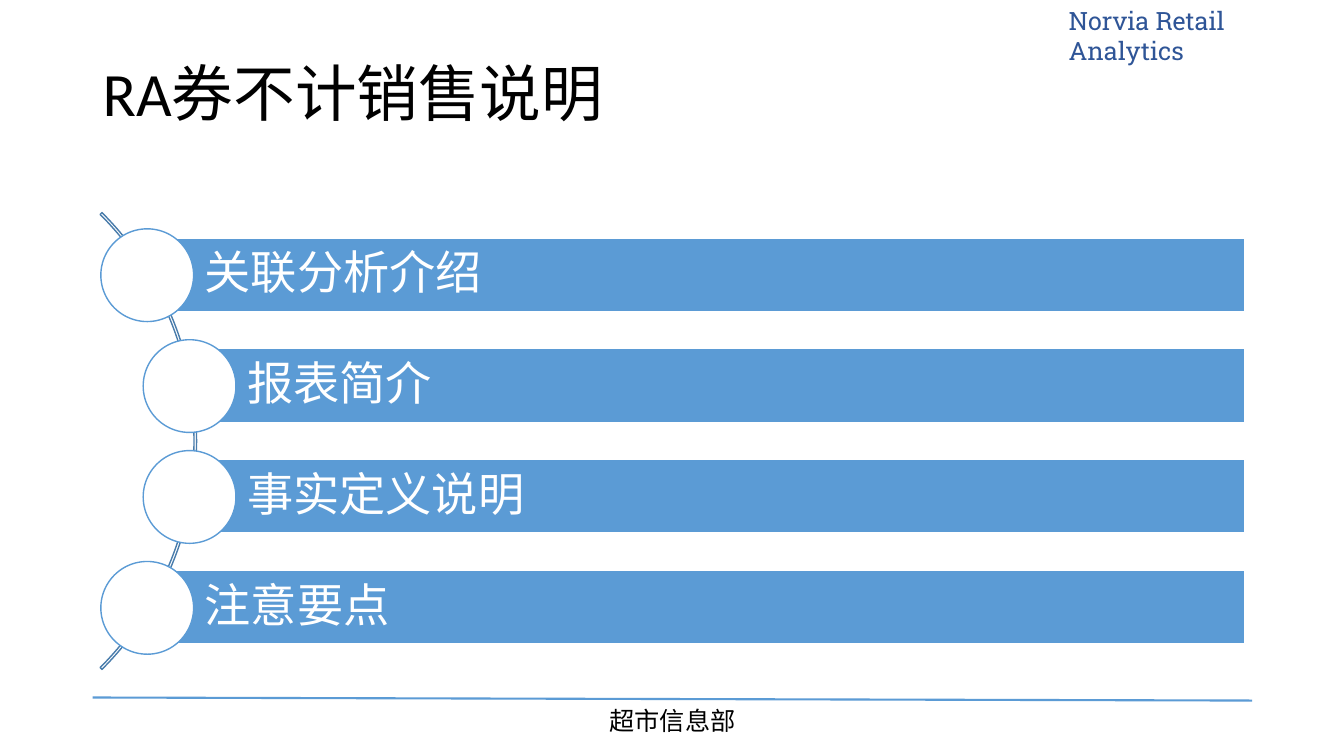
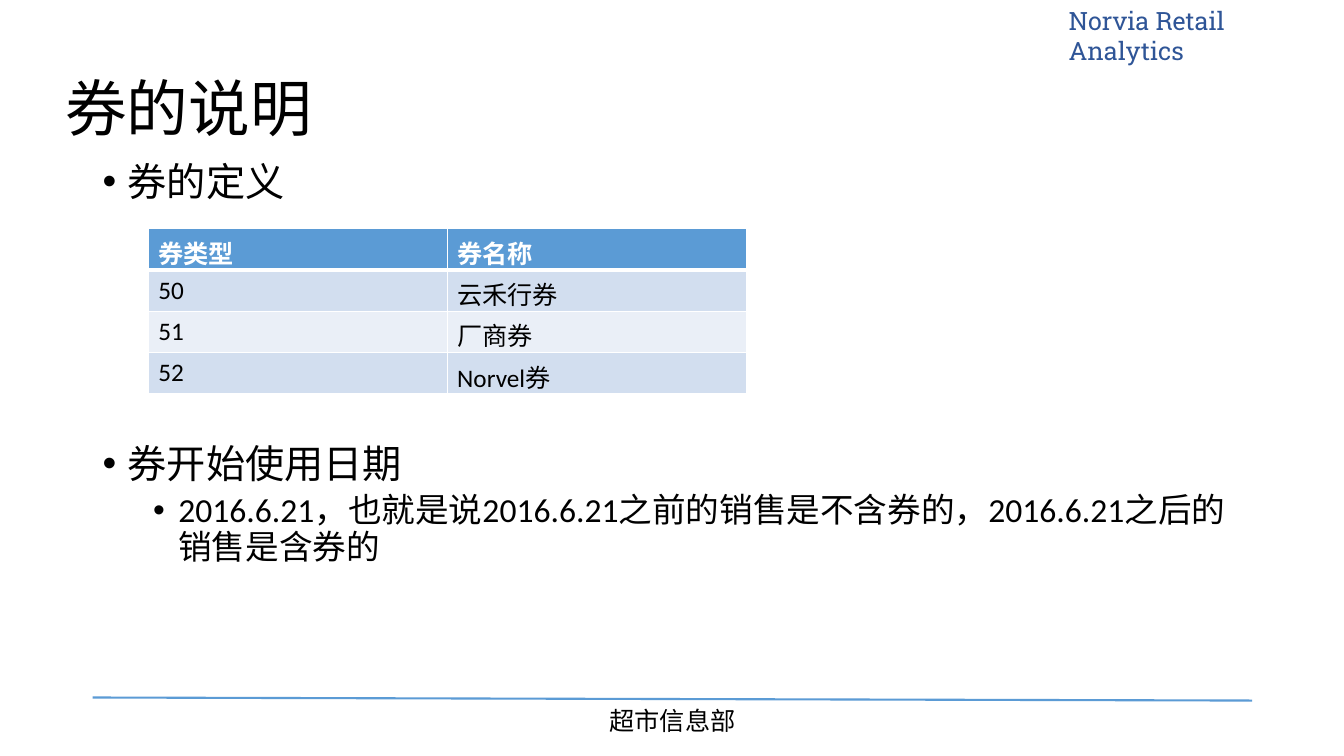
from dataclasses import dataclass

from lxml.etree import SubElement
from pptx import Presentation
from pptx.dml.color import RGBColor
from pptx.enum.shapes import MSO_CONNECTOR, MSO_SHAPE
from pptx.enum.text import MSO_ANCHOR, PP_ALIGN
from pptx.oxml import parse_xml
from pptx.oxml.ns import nsdecls, qn
from pptx.util import Inches, Pt


# Theme: colours, fonts and type sizes
@dataclass(frozen=True)
class Theme:
    accent: str = "5B9BD5"
    brand: str = "2F5597"
    arc: str = "497CAB"
    ink: str = "000000"
    paper: str = "FFFFFF"
    bands: tuple = ("D2DEEF", "EAEFF7")
    font: str = "Calibri"
    brand_font: str = "Roboto Slab"
    cjk_font: str = "Noto Sans CJK SC"
    title: int = 44
    agenda: int = 33
    bullets: tuple = (28, 24)
    small: int = 18


THEME = Theme()


def rgb(colour):
    return RGBColor.from_string(colour)


# Text helpers
def style(paragraph, size, colour=THEME.ink, font=THEME.font, bold=False):
    for run in paragraph.runs:
        run.font.size = Pt(size)
        run.font.bold = bold
        run.font.color.rgb = rgb(colour)
        run.font.name = font
        east_asian = SubElement(run.font._element, qn("a:ea"))
        east_asian.set("typeface", THEME.cjk_font)


def add_text(slide, text, left, top, width, height, size, **look):
    frame = slide.shapes.add_textbox(
        Inches(left), Inches(top), Inches(width), Inches(height)).text_frame
    frame.word_wrap = True
    frame.text = text
    style(frame.paragraphs[0], size, **look)
    return frame


def add_title(slide, text, left, top):
    frame = add_text(slide, text, left, top, 11.5, 0.89, THEME.title)
    frame.vertical_anchor = MSO_ANCHOR.MIDDLE
    frame.paragraphs[0].line_spacing = 0.9


def add_bullets(slide, top, height, items):
    """Place (level, text) items as a bulleted list."""
    frame = slide.shapes.add_textbox(
        Inches(0.92), Inches(top), Inches(11.5), Inches(height)).text_frame
    frame.word_wrap = True
    for index, (level, text) in enumerate(items):
        paragraph = frame.add_paragraph() if index else frame.paragraphs[0]
        paragraph.text = text
        paragraph.level = level
        paragraph.line_spacing = 0.9
        paragraph.space_before = Pt(5 if level else 10)
        style(paragraph, THEME.bullets[level])
        properties = paragraph._p.get_or_add_pPr()
        properties.set("marL", str(Inches(0.25 + 0.5 * level)))
        properties.set("indent", str(Inches(-0.25)))
        SubElement(properties, qn("a:buFont")).set("typeface", "Arial")
        SubElement(properties, qn("a:buChar")).set("char", "•")


# Shape helpers
def add_outlined(slide, kind, left, top, width, height, fill, line):
    shape = slide.shapes.add_shape(
        kind, Inches(left), Inches(top), Inches(width), Inches(height))
    shape.shadow.inherit = False
    if fill:
        shape.fill.solid()
        shape.fill.fore_color.rgb = rgb(fill)
    else:
        shape.fill.background()
    shape.line.color.rgb = rgb(line)
    shape.line.width = Pt(1)
    return shape


def add_agenda(slide, topics):
    arc = add_outlined(slide, MSO_SHAPE.BLOCK_ARC, -4.46, 1.17, 6.41, 6.41,
                       None, THEME.arc)
    for index, value in enumerate((189, 27, 0.004)):
        arc.adjustments[index] = value

    right, pitch = 12.35, 1.1
    for row, topic in enumerate(topics):
        outer = row in (0, len(topics) - 1)
        left, top = (1.45 if outer else 1.87), 2.36 + row * pitch
        bar = add_outlined(slide, MSO_SHAPE.RECTANGLE, left, top,
                           right - left, 0.73, THEME.accent, THEME.paper)
        frame = bar.text_frame
        frame.text = topic
        frame.vertical_anchor = MSO_ANCHOR.MIDDLE
        frame.margin_left = Inches(0.58)
        frame.margin_right = frame.margin_top = frame.margin_bottom = Inches(0.09)
        label = frame.paragraphs[0]
        label.alignment = PP_ALIGN.LEFT
        label.line_spacing = 0.9
        style(label, THEME.agenda, THEME.paper)
        add_outlined(slide, MSO_SHAPE.OVAL, left - 0.45, top - 0.09, 0.92, 0.92,
                     THEME.paper, THEME.accent)


# Table helpers
def set_borders(cell, bottom):
    properties = cell._tc.get_or_add_tcPr()
    for index, (side, points) in enumerate(
            (("L", 1), ("R", 1), ("T", 1), ("B", bottom))):
        properties.insert(index, parse_xml(
            f'<a:ln{side} {nsdecls("a")} w="{Pt(points)}"><a:solidFill>'
            f'<a:srgbClr val="{THEME.paper}"/></a:solidFill></a:ln{side}>'))


def add_coupon_table(slide, rows):
    table = slide.shapes.add_table(
        len(rows), len(rows[0]), Inches(1.47), Inches(2.27),
        Inches(5.93), Inches(0.41 * len(rows))).table
    for row, values in enumerate(rows):
        header = row == 0
        for column, value in enumerate(values):
            cell = table.cell(row, column)
            cell.text = value
            cell.fill.solid()
            cell.fill.fore_color.rgb = rgb(
                THEME.accent if header else THEME.bands[(row - 1) % 2])
            style(cell.text_frame.paragraphs[0], THEME.small,
                  THEME.paper if header else THEME.ink, bold=header)
            set_borders(cell, 3 if header else 1)


# Shared header and footer
def add_slide(deck):
    slide = deck.slides.add_slide(deck.slide_layouts[6])
    add_text(slide, "Norvia Retail Analytics", 10.5, 0, 2.7, 0.7, THEME.small,
             colour=THEME.brand, font=THEME.brand_font)
    rule = slide.shapes.add_connector(
        MSO_CONNECTOR.STRAIGHT, Inches(0.92), Inches(6.92),
        Inches(12.42), Inches(6.95))
    rule.line.color.rgb = rgb(THEME.accent)
    rule.line.width = Pt(1.5)
    SubElement(rule._element.spPr, qn("a:effectLst"))
    footer = add_text(slide, "超市信息部", 5.6, 6.95, 2.14, 0.4, THEME.small,
                      font=THEME.cjk_font)
    footer.paragraphs[0].alignment = PP_ALIGN.CENTER
    return slide


def main():
    deck = Presentation()
    deck.slide_width, deck.slide_height = Inches(13.33), Inches(7.5)

    # Agenda
    agenda = add_slide(deck)
    add_title(agenda, "RA券不计销售说明", 0.92, 0.51)
    add_agenda(agenda, ("关联分析介绍", "报表简介", "事实定义说明", "注意要点"))

    # Coupon definition and start date
    coupons = add_slide(deck)
    add_title(coupons, "券的说明", 0.55, 0.66)
    add_bullets(coupons, 1.56, 0.6, [(0, "券的定义")])
    add_coupon_table(coupons, (
        ("券类型", "券名称"),
        ("50", "云禾行券"),
        ("51", "厂商券"),
        ("52", "Norvel券"),
    ))
    add_bullets(coupons, 4.36, 1.4, [
        (0, "券开始使用日期"),
        (1, "2016.6.21，也就是说2016.6.21之前的销售是不含券的，"
            "2016.6.21之后的销售是含券的"),
    ])

    deck.save("out.pptx")


main()
